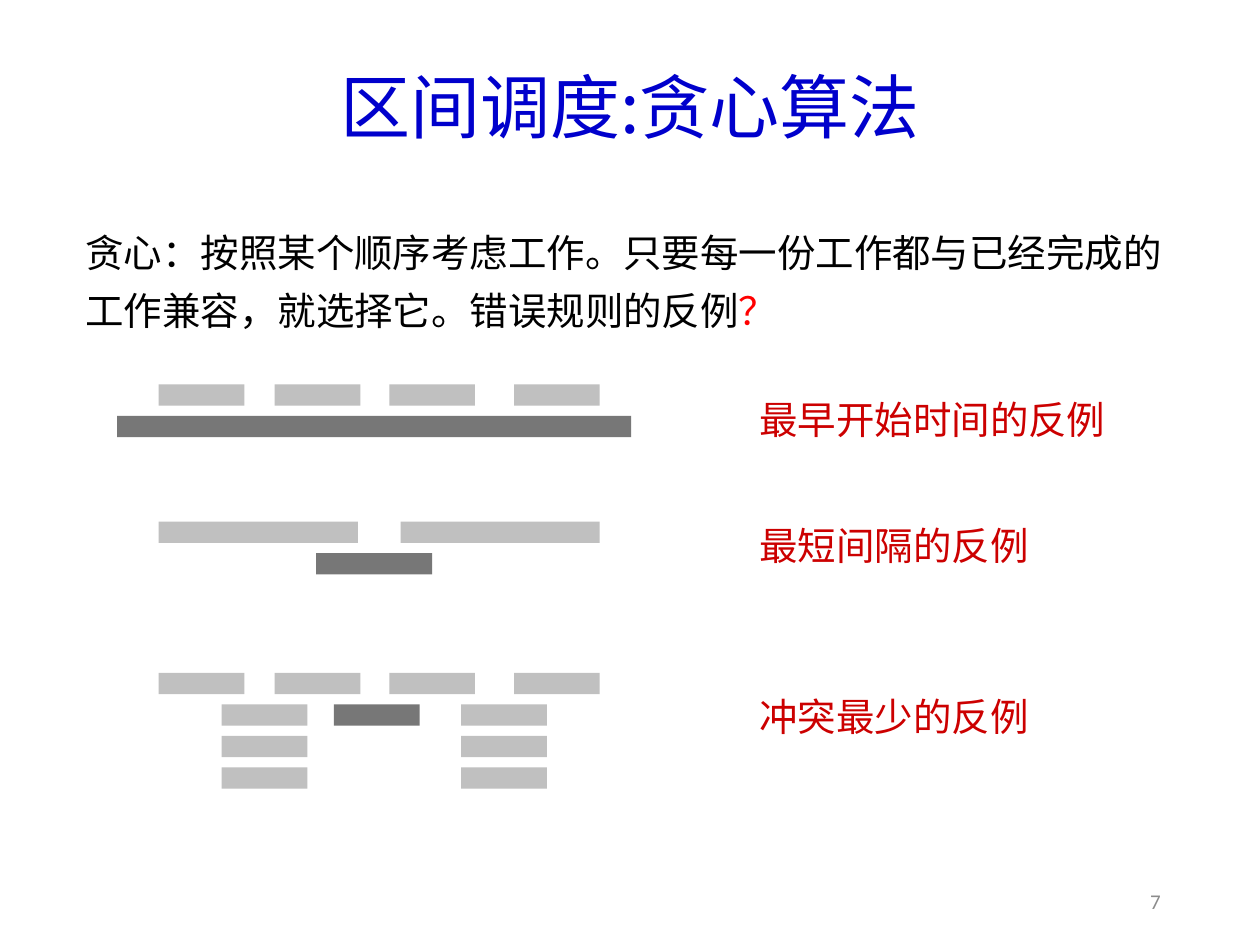
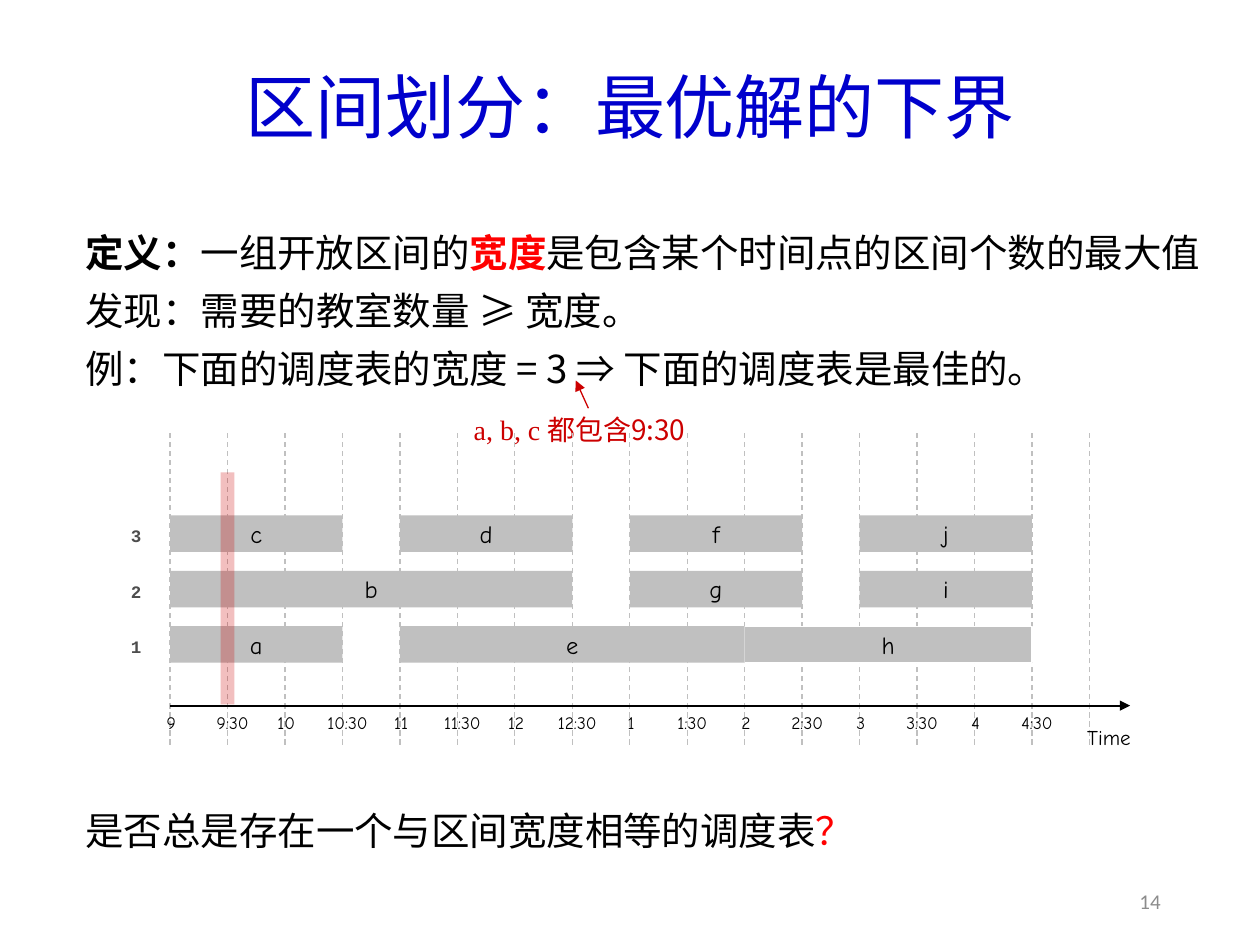
from lxml import etree
from pptx import Presentation, util as u
from pptx.dml.color import RGBColor
from pptx.enum import dml, shapes, text
from pptx.oxml.ns import qn

WIDTH, HEIGHT = 10, 7.5
CJK, COMIC, SERIF, MONO, SANS = (
    "Noto Sans CJK SC", "Comic Neue", "Times New Roman", "Courier New", "Calibri")
BLUE, BLACK, RED, DARK_RED = "0000CC", "000000", "FF0000", "CC0000"
LIGHT, DARK, WHITE, ROW_GREY, PAGE_GREY = "C0C0C0", "777777", "FFFFFF", "4D4D4D", "8C8C8C"
LEFT, CENTER, RIGHT = text.PP_ALIGN.LEFT, text.PP_ALIGN.CENTER, text.PP_ALIGN.RIGHT
MIDDLE = text.MSO_ANCHOR.MIDDLE
BODY_LINE = 33

GREEDY_BODY = [
    [("贪心：按照某个顺序考虑工作。只要每一份工作都与已经完成的工作兼容，就选择它。错误规则的反例", BLACK, False),
     ("？", RED, False)],
]
FOUR_JOBS = [(0, left, 0.68, LIGHT) for left in (1.26, 2.18, 3.09, 4.08)]
SIDE_JOBS = [(row, left, 0.68, LIGHT) for row in (1, 2, 3) for left in (1.76, 3.66)]
COUNTEREXAMPLES = [
    ("最早开始时间的反例", 3.05, 3.07, FOUR_JOBS + [(1, 0.93, 4.08, DARK)]),
    ("最短间隔的反例", 4.14, 4.07,
     [(0, 1.26, 1.58, LIGHT), (0, 3.18, 1.58, LIGHT), (1, 2.51, 0.92, DARK)]),
    ("冲突最少的反例", 5.34, 5.43, FOUR_JOBS + SIDE_JOBS + [(1, 2.65, 0.68, DARK)]),
]

BOUND_BODY = [
    [("定义：", BLACK, True), ("一组开放区间的", BLACK, False), ("宽度", RED, True),
     ("是包含某个时间点的区间个数的最大值", BLACK, False)],
    [("发现：需要的教室数量 ≥ 宽度。", BLACK, False)],
    [("例：下面的调度表的宽度 = 3 ⇒ 下面的调度表是最佳的。", BLACK, False)],
    [("是否总是存在一个与区间宽度相等的调度表", BLACK, False), ("？", RED, False)],
]
TIMES = ["9", "9:30", "10", "10:30", "11", "11:30", "12", "12:30", "1", "1:30",
         "2", "2:30", "3", "3:30", "4", "4:30"]
LECTURES = [("h", 1, 10, 15), ("c", 3, 0, 3), ("a", 1, 0, 3), ("e", 1, 4, 10),
            ("f", 3, 8, 11), ("g", 2, 8, 11), ("i", 2, 12, 15), ("j", 3, 12, 15),
            ("d", 3, 4, 7), ("b", 2, 0, 7)]
AXIS_LEFT, AXIS_TOP, SLOT = 1.35, 5.6, 0.456
GRID_TOP, GRID_BOTTOM = 3.44, 5.91
ROOM_TOP, ROOM_STEP, ROOM_HEIGHT = 4.97, 0.44, 0.29


def color(value):
    return RGBColor.from_string(value)


def slot_x(slot):
    return AXIS_LEFT + SLOT * slot


def room_top(room):
    return ROOM_TOP - ROOM_STEP * (room - 1)


def set_font(font, name, size, fill, bold=False):
    font.name, font.size, font.bold = name, u.Pt(size), bold
    font.color.rgb = color(fill)


def set_east_asian(span):
    properties = span._r.get_or_add_rPr()
    etree.SubElement(properties, qn("a:ea")).set("typeface", CJK)


def add_spans(para, spans, size):
    for words, fill, bold, name in spans:
        span = para.add_run()
        span.text = words
        set_font(span.font, name, size, fill, bold)
        set_east_asian(span)


def add_text(page, words, area, size, name, fill, align=LEFT, bold=False,
             wrap=False, line=None, anchor=text.MSO_ANCHOR.TOP):
    box = page.shapes.add_textbox(*map(u.Inches, area))
    frame = box.text_frame
    frame.word_wrap, frame.vertical_anchor = wrap, anchor
    para = frame.paragraphs[0]
    para.alignment = align
    if line:
        para.line_spacing = u.Pt(line)
    spans = [(words, name)] if isinstance(words, str) else words
    add_spans(para, [(part, fill, bold, face) for part, face in spans], size)
    return box


def add_bar(page, area, fill, outline=None):
    bar = page.shapes.add_shape(shapes.MSO_SHAPE.RECTANGLE, *map(u.Inches, area))
    bar.shadow.inherit = False
    bar.fill.solid()
    bar.fill.fore_color.rgb = color(fill)
    if outline:
        bar.line.color.rgb = color(outline)
        bar.line.width = u.Pt(0.75)
    else:
        bar.line.fill.background()
    return bar


def add_line(page, start, end, fill, width, dashed=False, arrow=False):
    line = page.shapes.add_connector(
        shapes.MSO_CONNECTOR.STRAIGHT, *map(u.Inches, (*start, *end)))
    line.line.color.rgb = color(fill)
    line.line.width = u.Pt(width)
    if dashed:
        line.line.dash_style = dml.MSO_LINE.DASH
    if arrow:
        etree.SubElement(line.line._get_or_add_ln(), qn("a:tailEnd")).set("type", "triangle")
    etree.SubElement(line._element.spPr, qn("a:effectLst"))


def add_page(deck, title, number, body, body_width):
    page = deck.slides.add_slide(deck.slide_layouts[5])
    head = page.shapes.title
    head.left, head.top, head.width, head.height = map(u.Inches, (0.69, 0.26, 8.62, 1.16))
    frame = head.text_frame
    frame.auto_size, frame.vertical_anchor = text.MSO_AUTO_SIZE.NONE, MIDDLE
    para = frame.paragraphs[0]
    para.alignment = CENTER
    add_spans(para, [(title, BLUE, False, CJK)], 40)

    box = page.shapes.add_textbox(*map(u.Inches, (0.58, 1.68, body_width, 5.25)))
    frame = box.text_frame
    frame.word_wrap = True
    for index, spans in enumerate(body):
        para = frame.add_paragraph() if index else frame.paragraphs[0]
        para.line_spacing = u.Pt(BODY_LINE)
        add_spans(para, [(*span, CJK) for span in spans], 22)
    add_text(page, str(number), (7.06, 6.95, 2.25, 0.4), 12, SANS, PAGE_GREY,
             align=RIGHT, wrap=True, anchor=MIDDLE)
    return page, frame


def build_greedy(deck):
    page, _ = add_page(deck, "区间调度:贪心算法", 7, GREEDY_BODY, 8.99)
    for label, top, label_top, jobs in COUNTEREXAMPLES:
        for row, left, width, fill in jobs:
            add_bar(page, (left, top + 0.25 * row, width, 0.17), fill)
        add_text(page, label, (5.93, label_top, 0.31 * len(label) + 0.2, 0.47),
                 22, COMIC, DARK_RED, line=28)


def build_bound(deck):
    page, frame = add_page(deck, "区间划分：最优解的下界", 14, BOUND_BODY, 9.27)
    frame.paragraphs[-1].space_before = u.Pt(7 * BODY_LINE)

    note = add_text(page, [("a, b, c ", SERIF), ("都包含9:30", CJK)],
                    (3.76, 3.26, 1.91, 0.27), 16, SERIF, DARK_RED, wrap=True, line=20)
    inner = note.text_frame
    inner.margin_left = inner.margin_right = inner.margin_top = inner.margin_bottom = 0
    add_line(page, (4.67, 3.24), (4.57, 3.02), DARK_RED, 0.75, arrow=True)

    for slot in range(len(TIMES) + 1):
        add_line(page, (slot_x(slot), GRID_BOTTOM), (slot_x(slot), GRID_TOP),
                 LIGHT, 0.75, dashed=True)
    add_line(page, (AXIS_LEFT, AXIS_TOP), (8.97, AXIS_TOP), BLACK, 1.25, arrow=True)
    add_text(page, "Time", (8.53, 5.7, 0.72, 0.3), 12, COMIC, BLACK, wrap=True)
    for slot, time in enumerate(TIMES):
        middle = slot_x(slot) + (0.04 if ":" in time else 0.01)
        add_text(page, time, (middle - 0.28, AXIS_TOP, 0.56, 0.27), 10, COMIC, BLACK,
                 align=CENTER)

    for name, room, start, end in LECTURES:
        area = (slot_x(start), room_top(room), SLOT * (end - start), ROOM_HEIGHT)
        bar = add_bar(page, area, LIGHT, WHITE if name == "h" else None)
        bar.text_frame.word_wrap = False
        bar.text_frame.vertical_anchor = MIDDLE
        para = bar.text_frame.paragraphs[0]
        para.text, para.alignment = name, CENTER
        set_font(para.font, COMIC, 14, BLACK)

    marker = add_bar(page, (1.75, 3.75, 0.11, 1.84), DARK_RED)
    tint = marker._element.spPr.find(qn("a:solidFill"))[0]
    etree.SubElement(tint, qn("a:alpha")).set("val", "25000")
    for room in (1, 2, 3):
        add_text(page, str(room), (0.94, room_top(room) + 0.03, 0.28, 0.27),
                 10, MONO, ROW_GREY, bold=True)


def main():
    deck = Presentation()
    deck.slide_width, deck.slide_height = u.Inches(WIDTH), u.Inches(HEIGHT)
    build_greedy(deck)
    build_bound(deck)
    deck.save("out.pptx")


if __name__ == "__main__":
    main()
